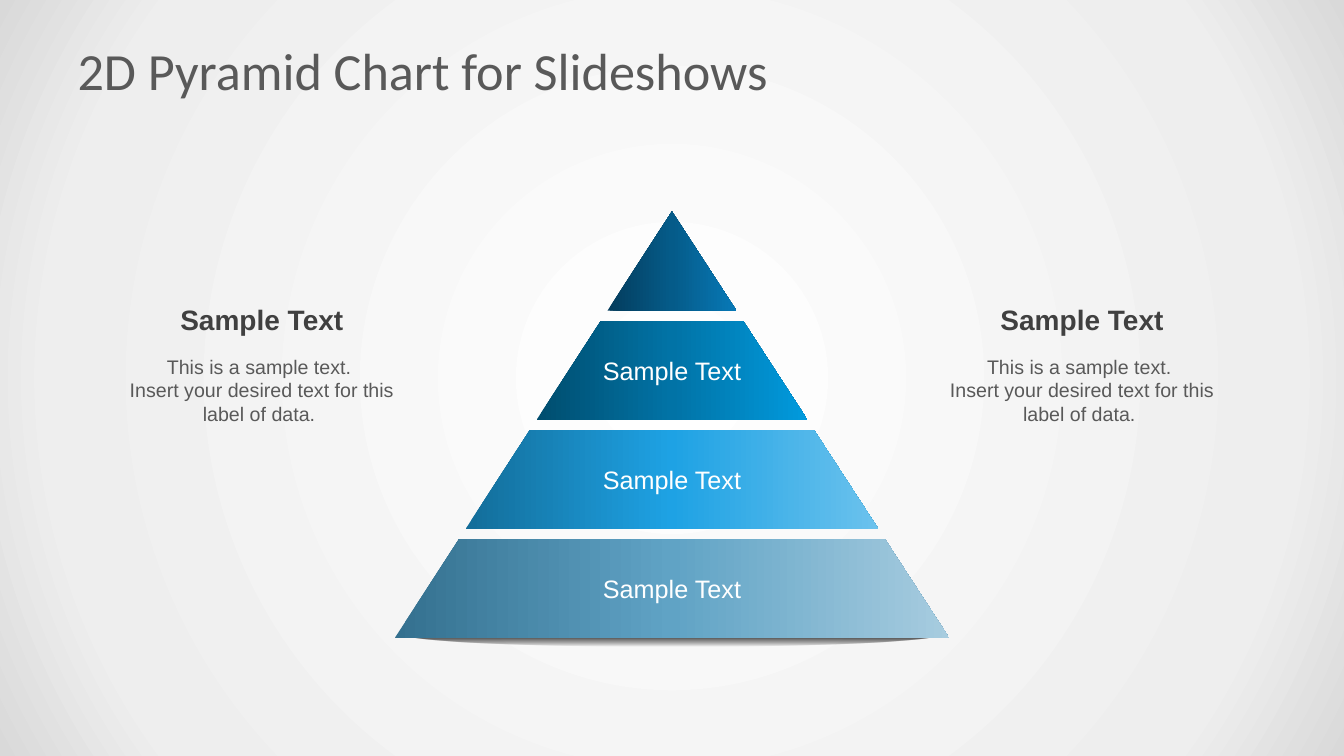
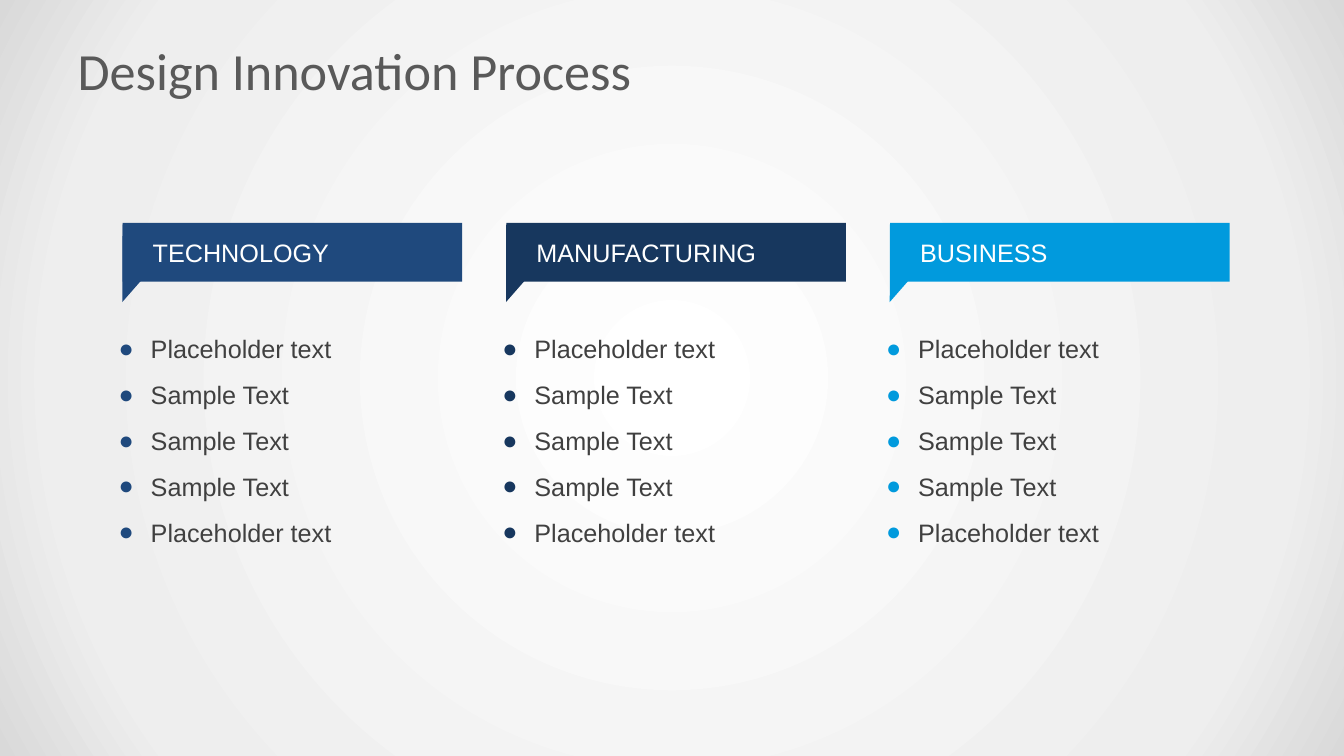
from dataclasses import dataclass

from lxml.etree import SubElement
from pptx import Presentation
from pptx.dml.color import RGBColor
from pptx.enum.shapes import MSO_SHAPE
from pptx.enum.text import MSO_ANCHOR, PP_ALIGN
from pptx.oxml.ns import qn
from pptx.oxml.xmlchemy import BaseOxmlElement
from pptx.presentation import Presentation as Deck
from pptx.shapes.autoshape import Shape
from pptx.slide import Slide
from pptx.text.text import TextFrame, _Paragraph
from pptx.util import Cm, Pt


@dataclass(frozen=True)
class TextStyle:
    size: float
    colour: str
    font: str = "Arial"
    bold: bool = False
    align: PP_ALIGN = PP_ALIGN.LEFT


@dataclass(frozen=True)
class Stop:
    percent: int
    colour: str
    opacity: int = 100


@dataclass(frozen=True)
class Theme:
    title: TextStyle = TextStyle(37.3, "595959", "Calibri")
    tier: TextStyle = TextStyle(18, "FFFFFF", align=PP_ALIGN.CENTER)
    banner: TextStyle = TextStyle(18, "FFFFFF")
    bullet: TextStyle = TextStyle(18, "404040")
    heading: TextStyle = TextStyle(20, "404040", bold=True, align=PP_ALIGN.CENTER)
    body: TextStyle = TextStyle(14, "595959", align=PP_ALIGN.CENTER)
    backdrop: tuple[Stop, ...] = (Stop(0, "FFFFFF"), Stop(81, "EEEEEE"), Stop(100, "D9D9D9"))
    ground_shadow: tuple[Stop, ...] = (Stop(0, "262626"), Stop(100, "000000", 0))
    navy: str = "1F497D"
    midnight: str = "17375E"
    azure: str = "019ADD"


@dataclass(frozen=True)
class Tier:
    label: str
    colours: tuple[str, str, str]


@dataclass(frozen=True)
class Column:
    heading: str
    accent: str


THEME = Theme()
SLIDE_WIDTH, SLIDE_HEIGHT = 33.87, 19.05
APEX_TOP, TIER_HEIGHT, TIER_PITCH, SLOPE = 5.33, 2.5, 2.75, 0.65
NOTE_LEFT, NOTE_WIDTH = 3.0, 7.2
COLUMN_LEFT, COLUMN_PITCH = 3.09, 9.67

TIERS = (
    Tier("", ("043C5C", "055B89", "0779B7")),
    Tier("Sample Text", ("004D6E", "0173A6", "019ADD")),
    Tier("Sample Text", ("136D99", "1EA2E4", "6BC2ED")),
    Tier("Sample Text", ("34708F", "60A3C5", "A7CCDF")),
)
NOTE_LINES = ("This is a sample text. ", "Insert your desired text for this label of data. ")
COLUMNS = (
    Column("TECHNOLOGY", THEME.navy),
    Column("MANUFACTURING", THEME.midnight),
    Column("BUSINESS", THEME.azure),
)
BULLETS = ("Placeholder text", "Sample Text", "Sample Text", "Sample Text", "Placeholder text")


def write(paragraph: _Paragraph, text: str, style: TextStyle) -> None:
    paragraph.alignment = style.align
    run = paragraph.add_run()
    run.text = text
    run.font.size = Pt(style.size)
    run.font.name = style.font
    run.font.bold = style.bold
    run.font.color.rgb = RGBColor.from_string(style.colour)


def write_lines(frame: TextFrame, lines: tuple[str, ...], style: TextStyle) -> None:
    frame.word_wrap = True
    for index, line in enumerate(lines):
        paragraph = frame.add_paragraph() if index else frame.paragraphs[0]
        write(paragraph, line, style)


def swap_in_gradient(properties: BaseOxmlElement, stops: tuple[Stop, ...], path: str = "") -> None:
    solid = properties.find(qn("a:solidFill"))
    gradient = SubElement(properties, qn("a:gradFill"), rotWithShape="1")
    properties.replace(solid, gradient)
    stop_list = SubElement(gradient, qn("a:gsLst"))
    for stop in stops:
        entry = SubElement(stop_list, qn("a:gs"), pos=str(stop.percent * 1000))
        colour = SubElement(entry, qn("a:srgbClr"), val=stop.colour)
        if stop.opacity < 100:
            SubElement(colour, qn("a:alpha"), val=str(stop.opacity * 1000))
    if path:
        centre = SubElement(gradient, qn("a:path"), path=path)
        SubElement(centre, qn("a:fillToRect"), l="50000", t="50000", r="50000", b="50000")
    else:
        SubElement(gradient, qn("a:lin"), ang="0", scaled="0")


def paint(shape: Shape, colour: str) -> None:
    shape.shadow.inherit = False
    shape.line.fill.background()
    shape.fill.solid()
    shape.fill.fore_color.rgb = RGBColor.from_string(colour)


def paint_gradient(shape: Shape, stops: tuple[Stop, ...], path: str = "") -> None:
    paint(shape, stops[0].colour)
    swap_in_gradient(shape.element.spPr, stops, path)


def set_backdrop(deck: Deck) -> None:
    master = deck.slide_master
    master.background.fill.solid()
    swap_in_gradient(master.element.find(".//" + qn("p:bgPr")), THEME.backdrop, "circle")


def add_titled_slide(deck: Deck, heading: str) -> Slide:
    slide = deck.slides.add_slide(deck.slide_layouts[5])
    title = slide.shapes.title
    title.left, title.top, title.width, title.height = Cm(1.7), Cm(0.76), Cm(30.48), Cm(1.98)
    title.text_frame.vertical_anchor = MSO_ANCHOR.MIDDLE
    write_lines(title.text_frame, (heading,), THEME.title)
    return slide


def add_tier(slide: Slide, tier: Tier, index: int) -> None:
    middle = SLIDE_WIDTH / 2
    depth = index * TIER_PITCH
    top, bottom = APEX_TOP + depth, APEX_TOP + depth + TIER_HEIGHT
    half_top, half_bottom = depth * SLOPE, (depth + TIER_HEIGHT) * SLOPE
    outline = slide.shapes.build_freeform(Cm(middle - half_top), Cm(top))
    outline.add_line_segments([
        (Cm(middle + half_top), Cm(top)),
        (Cm(middle + half_bottom), Cm(bottom)),
        (Cm(middle - half_bottom), Cm(bottom)),
    ])
    trapezoid = outline.convert_to_shape()
    paint_gradient(trapezoid, tuple(Stop(50 * n, c) for n, c in enumerate(tier.colours)))
    if tier.label:
        trapezoid.text_frame.vertical_anchor = MSO_ANCHOR.MIDDLE
        write_lines(trapezoid.text_frame, (tier.label,), THEME.tier)


def add_note(slide: Slide, left: float) -> None:
    body = slide.shapes.add_textbox(Cm(left), Cm(8.81), Cm(NOTE_WIDTH), Cm(2.06))
    write_lines(body.text_frame, NOTE_LINES, THEME.body)
    heading = slide.shapes.add_textbox(Cm(left), Cm(7.49), Cm(NOTE_WIDTH), Cm(1.12))
    heading.text_frame.vertical_anchor = MSO_ANCHOR.MIDDLE
    write_lines(heading.text_frame, ("Sample Text",), THEME.heading)


def set_bullet(paragraph: _Paragraph, accent: str) -> None:
    properties = paragraph._p.get_or_add_pPr()
    properties.set("marL", str(Cm(0.81)))
    properties.set("indent", str(-Cm(0.81)))
    colour = SubElement(properties, qn("a:buClr"))
    SubElement(colour, qn("a:srgbClr"), val=accent)
    SubElement(properties, qn("a:buFont"), typeface="Arial")
    SubElement(properties, qn("a:buChar"), char="●")


def add_column(slide: Slide, column: Column, left: float) -> None:
    points = slide.shapes.add_textbox(Cm(left - 0.35), Cm(8.05), Cm(9.45), Cm(6.78))
    write_lines(points.text_frame, BULLETS, THEME.bullet)
    for index, paragraph in enumerate(points.text_frame.paragraphs):
        set_bullet(paragraph, column.accent)
        paragraph.line_spacing = 1.3
        paragraph.space_before = Pt(4.7 if index else 0)

    tail = slide.shapes.add_shape(
        MSO_SHAPE.ISOSCELES_TRIANGLE, Cm(left - 0.37), Cm(5.84), Cm(1.37), Cm(1.83))
    tail.rotation = 200.7
    paint(tail, column.accent)

    banner = slide.shapes.add_shape(
        MSO_SHAPE.RECTANGLE, Cm(left), Cm(5.62), Cm(8.56), Cm(1.48))
    paint(banner, column.accent)
    banner.text_frame.margin_left = Cm(0.76)
    banner.text_frame.vertical_anchor = MSO_ANCHOR.MIDDLE
    write_lines(banner.text_frame, (column.heading,), THEME.banner)


def add_pyramid_slide(deck: Deck) -> None:
    slide = add_titled_slide(deck, "2D Pyramid Chart for Slideshows")
    ground = slide.shapes.add_shape(
        MSO_SHAPE.OVAL, Cm(10.18), Cm(15.67), Cm(13.51), Cm(0.61))
    paint_gradient(ground, THEME.ground_shadow, "shape")
    for index, tier in reversed(tuple(enumerate(TIERS))):
        add_tier(slide, tier, index)
    for left in (NOTE_LEFT, SLIDE_WIDTH - NOTE_LEFT - NOTE_WIDTH):
        add_note(slide, left)


def add_process_slide(deck: Deck) -> None:
    slide = add_titled_slide(deck, "Design Innovation Process")
    for index, column in enumerate(COLUMNS):
        add_column(slide, column, COLUMN_LEFT + index * COLUMN_PITCH)


def main() -> None:
    deck = Presentation()
    deck.slide_width, deck.slide_height = Cm(SLIDE_WIDTH), Cm(SLIDE_HEIGHT)
    set_backdrop(deck)
    add_pyramid_slide(deck)
    add_process_slide(deck)
    deck.save("out.pptx")


if __name__ == "__main__":
    main()
